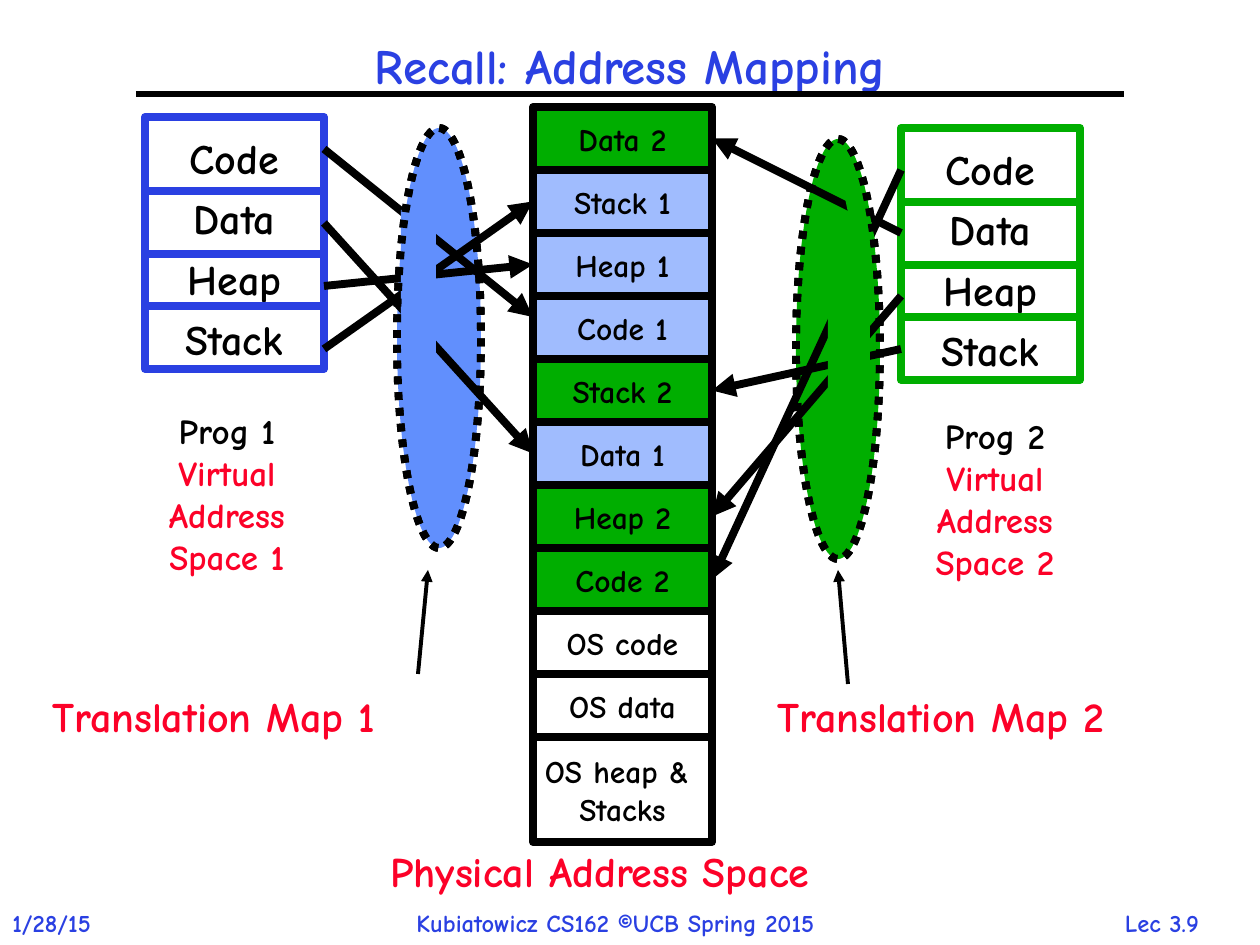
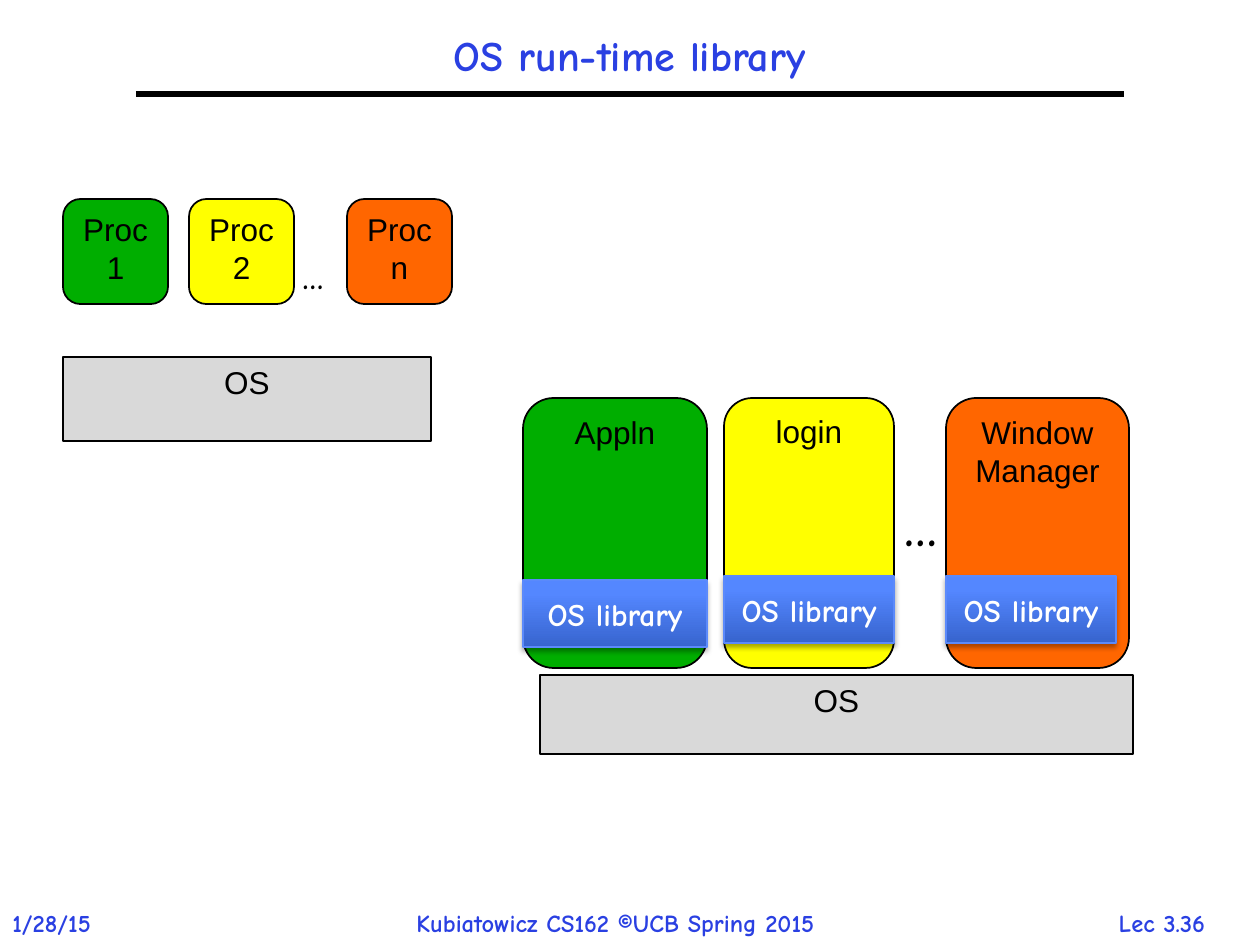
"""Build two operating-systems lecture slides: address mapping and the run-time library."""
from lxml.etree import SubElement
from pptx import Presentation
from pptx.dml.color import RGBColor
from pptx.enum.dml import MSO_LINE
from pptx.enum.shapes import MSO_CONNECTOR, MSO_SHAPE
from pptx.enum.text import MSO_ANCHOR, MSO_AUTO_SIZE, PP_ALIGN
from pptx.oxml.ns import qn
from pptx.util import Emu, Pt

BLUE = RGBColor(0x2A, 0x40, 0xE2)
SKY = RGBColor(0x61, 0x8F, 0xFD)
PALE = RGBColor(0xA0, 0xBC, 0xFE)
GREEN = RGBColor(0x00, 0xAE, 0x00)
YELLOW = RGBColor(0xFF, 0xFF, 0x00)
ORANGE = RGBColor(0xFF, 0x66, 0x00)
RED = RGBColor(0xFC, 0x01, 0x28)
GREY = RGBColor(0xD9, 0xD9, 0xD9)
BLACK = RGBColor(0x00, 0x00, 0x00)
WHITE = RGBColor(0xFF, 0xFF, 0xFF)
LIB_DARK = RGBColor(0x37, 0x64, 0xCE)
LIB_LIGHT = RGBColor(0x54, 0x87, 0xFF)
LIB_EDGE = RGBColor(0x5B, 0x8A, 0xFB)
COMIC, ARIAL = "Comic Neue", "Arial"
LEFT, CENTER = PP_ALIGN.LEFT, PP_ALIGN.CENTER
THICK = 4.5

DATE, CREDIT = "1/28/15", "Kubiatowicz CS162 ©UCB Spring 2015"
SEGMENTS = ["Code", "Data", "Heap", "Stack"]
DIVIDERS = [74, 137, 189]
PROGRAMS = [
    {"n": 1, "box": (145, 117, 179, 252), "label": (144, 403, 166, 183),
     "map": (397, 128, 84, 420), "map_label": (40, 684, 397, 63),
     "pointer": ((418, 674), (428, 570)), "color": BLUE, "map_color": SKY,
     "page_color": PALE, "edge": 324, "page_side": 1,
     "starts": {"Code": 149, "Data": 223, "Heap": 286, "Stack": 349},
     "covers": [(401, 210, 35, 189, 0)]},
    {"n": 2, "box": (901, 128, 179, 252), "label": (912, 408, 166, 183),
     "map": (796, 139, 84, 420), "map_label": (765, 684, 397, 63),
     "pointer": ((848, 684), (838, 570)), "color": GREEN, "map_color": GREEN,
     "page_color": GREEN, "edge": 901, "page_side": 3,
     "starts": {"Code": 170, "Data": 233, "Heap": 296, "Stack": 349},
     "covers": [(828, 233, 42, 199, 0), (848, 180, 21, 63, 348.5)]},
]
PAGES = ["Data 2", "Stack 1", "Heap 1", "Code 1", "Stack 2", "Data 1",
         "Heap 2", "Code 2", "OS code", "OS data", "OS heap & \nStacks"]
PAGE_X, PAGE_Y, PAGE_W, PAGE_H, LAST_PAGE_H = 533, 107, 179, 63, 105
CODE_1_END = 317

PROCS = [("Proc 1", 63, GREEN), ("Proc 2", 189, YELLOW), ("Proc n", 347, ORANGE)]
APPS = [("Appln", 523, 184, GREEN, 580, 184), ("login", 724, 170, YELLOW, 576, 170),
        ("Window Manager", 946, 183, ORANGE, 576, 170)]
KERNELS = [(63, 357, 368, 84), (540, 675, 593, 79)]
ELLIPSES = [((290, 252, 57, 50), 18), ((892, 491, 82, 72), 28)]


def px(n):
    return Emu(round(n * 914400 / 126))


def write(s, text, size, color=BLACK, font=COMIC, align=CENTER,
          anchor=MSO_ANCHOR.MIDDLE, wrap=True, spacing=None):
    tf = s.text_frame
    tf.text = text
    tf.word_wrap = wrap
    tf.vertical_anchor = anchor
    for p in tf.paragraphs:
        p.alignment = align
        p.line_spacing = spacing
        p.font.name, p.font.size, p.font.bold = font, Pt(size), font == COMIC
        p.font.color.rgb = color
    return tf


def label(slide, box, text, size, color=BLACK, align=LEFT, wrap=False):
    s = slide.shapes.add_textbox(*map(px, box))
    tf = write(s, text, size, color, align=align, anchor=MSO_ANCHOR.TOP, wrap=wrap)
    tf.auto_size = MSO_AUTO_SIZE.SHAPE_TO_FIT_TEXT
    return tf


def shape(slide, kind, box, fill=None, line=None, width=THICK):
    s = slide.shapes.add_shape(kind, *map(px, box))
    s.shadow.inherit = False
    if fill is None:
        s.fill.background()
    else:
        s.fill.solid()
        s.fill.fore_color.rgb = fill
    if line is None:
        s.line.fill.background()
    else:
        s.line.color.rgb = line
        s.line.width = Pt(width)
    return s


def connect(slide, start, end, color=BLACK, width=THICK, arrow=False):
    c = slide.shapes.add_connector(MSO_CONNECTOR.STRAIGHT, *map(px, (*start, *end)))
    c.line.color.rgb = color
    c.line.width = Pt(width)
    spPr = c.element.spPr
    SubElement(spPr, qn("a:effectLst"))
    if arrow:
        SubElement(spPr.find(qn("a:ln")), qn("a:tailEnd"), type="triangle")
    return c


def new_slide(prs, title, box, size, number):
    slide = prs.slides.add_slide(prs.slide_layouts[5])
    t = slide.shapes.title
    t.left, t.top, t.width, t.height = map(px, box)
    write(t, title, size, BLUE, spacing=0.9).auto_size = MSO_AUTO_SIZE.NONE
    connect(slide, (136, 94), (1124, 94), width=3)
    label(slide, (0, 902, 126, 43), DATE, 14, BLUE)
    label(slide, (404, 902, 488, 43), CREDIT, 14, BLUE)
    label(slide, (1086, 902, 152, 42), f"Lec {number}", 14, BLUE, CENTER)
    return slide


def translation_map(slide, prog, fill=None):
    s = shape(slide, MSO_SHAPE.OVAL, prog["map"], fill, BLACK)
    s.line.dash_style = MSO_LINE.ROUND_DOT


def virtual_space(slide, prog):
    x, y, w, _ = prog["box"]
    s = shape(slide, MSO_SHAPE.RECTANGLE, prog["box"], WHITE, prog["color"])
    write(s, "\n".join(SEGMENTS), 24, wrap=False, spacing=1.2)
    for dy in DIVIDERS:
        connect(slide, (x, y + dy), (x + w, y + dy), prog["color"])
    n = prog["n"]
    tf = label(slide, prog["label"], f"Prog {n}\nVirtual\nAddress\nSpace {n}", 20, RED, CENTER)
    tf.paragraphs[0].font.color.rgb = BLACK


def physical_space(slide):
    colors = {str(prog["n"]): prog["page_color"] for prog in PROGRAMS}
    pages = {}
    for i, name in enumerate(PAGES):
        h = LAST_PAGE_H if i == len(PAGES) - 1 else PAGE_H
        box = (PAGE_X, PAGE_Y + i * PAGE_H, PAGE_W, h)
        pages[name] = shape(slide, MSO_SHAPE.RECTANGLE, box, colors.get(name[-1], WHITE), BLACK)
        write(pages[name], name, 18, wrap=False)
    return pages


def address_mapping(prs):
    slide = new_slide(prs, "Recall: Address Mapping", (0, 32, 1260, 73), 28, "3.9")
    for prog in PROGRAMS:
        translation_map(slide, prog, prog["map_color"])
        virtual_space(slide, prog)
    pages = physical_space(slide)
    for prog in PROGRAMS:
        for segment, y in prog["starts"].items():
            name = f"{segment} {prog['n']}"
            c = connect(slide, (prog["edge"], y), (PAGE_X, CODE_1_END), arrow=True)
            if name != "Code 1":
                c.end_connect(pages[name], prog["page_side"])
    for prog in PROGRAMS:
        for *box, angle in prog["covers"]:
            shape(slide, MSO_SHAPE.RECTANGLE, box, prog["map_color"]).rotation = angle
        translation_map(slide, prog)
        label(slide, prog["map_label"], f"Translation Map {prog['n']}", 24, RED)
        connect(slide, *prog["pointer"], width=2.25, arrow=True)
    label(slide, (378, 839, 514, 64), "Physical Address Space", 24, RED)


def block(slide, kind, box, text, fill):
    s = shape(slide, kind, box, fill, BLACK, 1)
    write(s, text, 18, font=ARIAL, anchor=MSO_ANCHOR.TOP)


def library(slide, box):
    s = shape(slide, MSO_SHAPE.RECTANGLE, box, LIB_LIGHT, LIB_EDGE, 0.75)
    s.fill.gradient()
    s.fill.gradient_angle = 90
    for stop, color, position in zip(s.fill.gradient_stops, (LIB_DARK, LIB_LIGHT), (0, 0.8)):
        stop.color.rgb = color
        stop.position = position
    effects = s.element.spPr.find(qn("a:effectLst"))
    shadow = SubElement(effects, qn("a:outerShdw"), blurRad=str(Pt(3.1)), dist=str(Pt(1.8)),
                        dir="5400000", rotWithShape="0")
    tint = SubElement(shadow, qn("a:srgbClr"), val=str(BLACK))
    SubElement(tint, qn("a:alpha"), val="35000")
    write(s, "OS library", 18, WHITE)


def runtime_library(prs):
    slide = new_slide(prs, "OS run-time library", (136, 21, 987, 73), 24, "3.36")
    for box in KERNELS:
        block(slide, MSO_SHAPE.RECTANGLE, box, "OS", GREY)
    for name, x, color in PROCS:
        block(slide, MSO_SHAPE.ROUNDED_RECTANGLE, (x, 199, 105, 105), name, color)
    for name, x, w, color, lib_y, lib_w in APPS:
        block(slide, MSO_SHAPE.ROUNDED_RECTANGLE, (x, 398, w, 270), name, color)
        library(slide, (x, lib_y, lib_w, 67))
    for box, size in ELLIPSES:
        label(slide, box, "…", size, wrap=size == 28)


def main():
    prs = Presentation()
    prs.slide_width, prs.slide_height = px(1260), px(945)
    address_mapping(prs)
    runtime_library(prs)
    prs.save("out.pptx")


if __name__ == "__main__":
    main()
